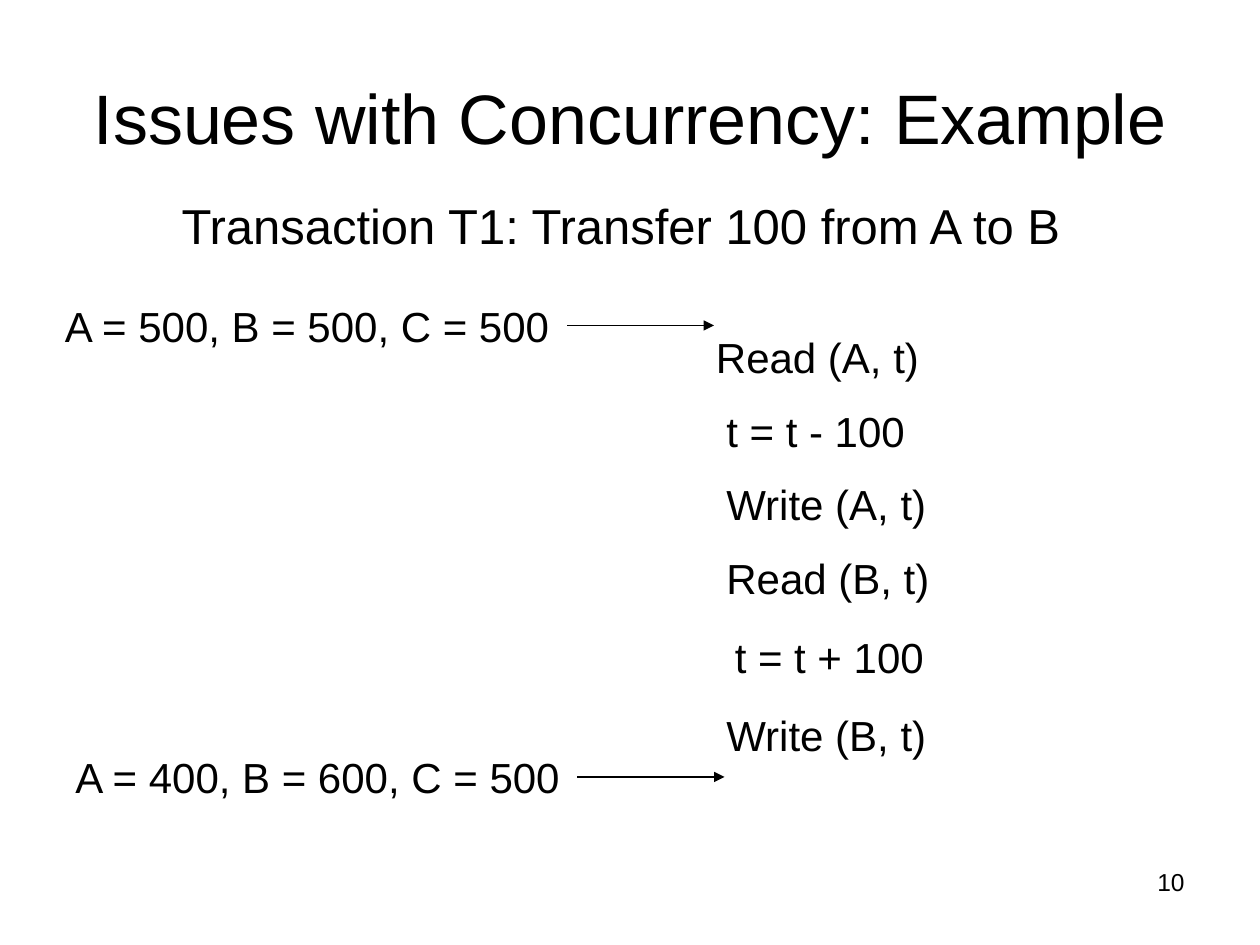
import pptx
import pptx.util
import pptx.dml.color
import pptx.enum.shapes
import pptx.enum.text
import pptx.oxml.ns
import lxml.etree

THEME = {
    "font": "Arial",
    "ink": pptx.dml.color.RGBColor(0, 0, 0),
    "title": pptx.util.Pt(40),
    "subtitle": pptx.util.Pt(28),
    "body": pptx.util.Pt(24),
    "number": pptx.util.Pt(14),
}


def write(frame, text, size, align=pptx.enum.text.PP_ALIGN.LEFT):
    frame.text = text
    paragraph = frame.paragraphs[0]
    paragraph.alignment = align
    font = paragraph.runs[0].font
    font.name, font.size = THEME["font"], THEME[size]
    font.color.rgb = THEME["ink"]


def add_label(text, left, top, width, height=36, size="body"):
    label = slide.shapes.add_textbox(*map(pptx.util.Pt, (left, top, width, height)))
    write(label.text_frame, text, size)
    label.text_frame.word_wrap = False
    label.text_frame.auto_size = pptx.enum.text.MSO_AUTO_SIZE.SHAPE_TO_FIT_TEXT


deck = pptx.Presentation()
deck.slide_width, deck.slide_height = pptx.util.Pt(720), pptx.util.Pt(540)
slide = deck.slides.add_slide(deck.slide_layouts[5])

page_number = slide.shapes.add_textbox(*map(pptx.util.Pt, (516, 492, 168, 37.5)))
page_number.text_frame.word_wrap = True
write(page_number.text_frame, "10", "number", pptx.enum.text.PP_ALIGN.RIGHT)

title = slide.shapes.title
title.left, title.top, title.width, title.height = map(pptx.util.Pt, (36, 21.6, 648, 90))
title.text_frame.vertical_anchor = pptx.enum.text.MSO_ANCHOR.MIDDLE
write(title.text_frame, "Issues with Concurrency: Example", "title", pptx.enum.text.PP_ALIGN.CENTER)

operations = [
    ("Read (A, t)", 402, 186, 132),
    ("t = t - 100", 408, 228, 118),
    ("Write (A, t)", 408, 270, 135),
    ("Read (B, t)", 408, 312, 132),
    ("t = t + 100", 412.8, 357.2, 124),
    ("Write (B, t)", 408, 402, 131),
]
for operation, left, top, width in operations:
    add_label(operation, left, top, width)

add_label("Transaction T1: Transfer 100 from A to B", 96.7, 108, 524, 41, "subtitle")

states = [
    ("A = 400, B = 600, C = 500", 36, 426, 330, 444),
    ("A = 500, B = 500, C = 500", 30, 168, 324, 186),
]
for state, left, top, arrow_start, arrow_y in states:
    add_label(state, left, top, 294)
    arrow = slide.shapes.add_connector(
        pptx.enum.shapes.MSO_CONNECTOR.STRAIGHT,
        *map(pptx.util.Pt, (arrow_start, arrow_y, arrow_start + 84, arrow_y)),
    )
    arrow.line.color.rgb = THEME["ink"]
    arrow.line.width = pptx.util.Pt(0.75)
    outline = arrow._element.spPr.find(pptx.oxml.ns.qn("a:ln"))
    lxml.etree.SubElement(outline, pptx.oxml.ns.qn("a:tailEnd"), type="triangle")
    lxml.etree.SubElement(arrow._element.spPr, pptx.oxml.ns.qn("a:effectLst"))

deck.save("out.pptx")
